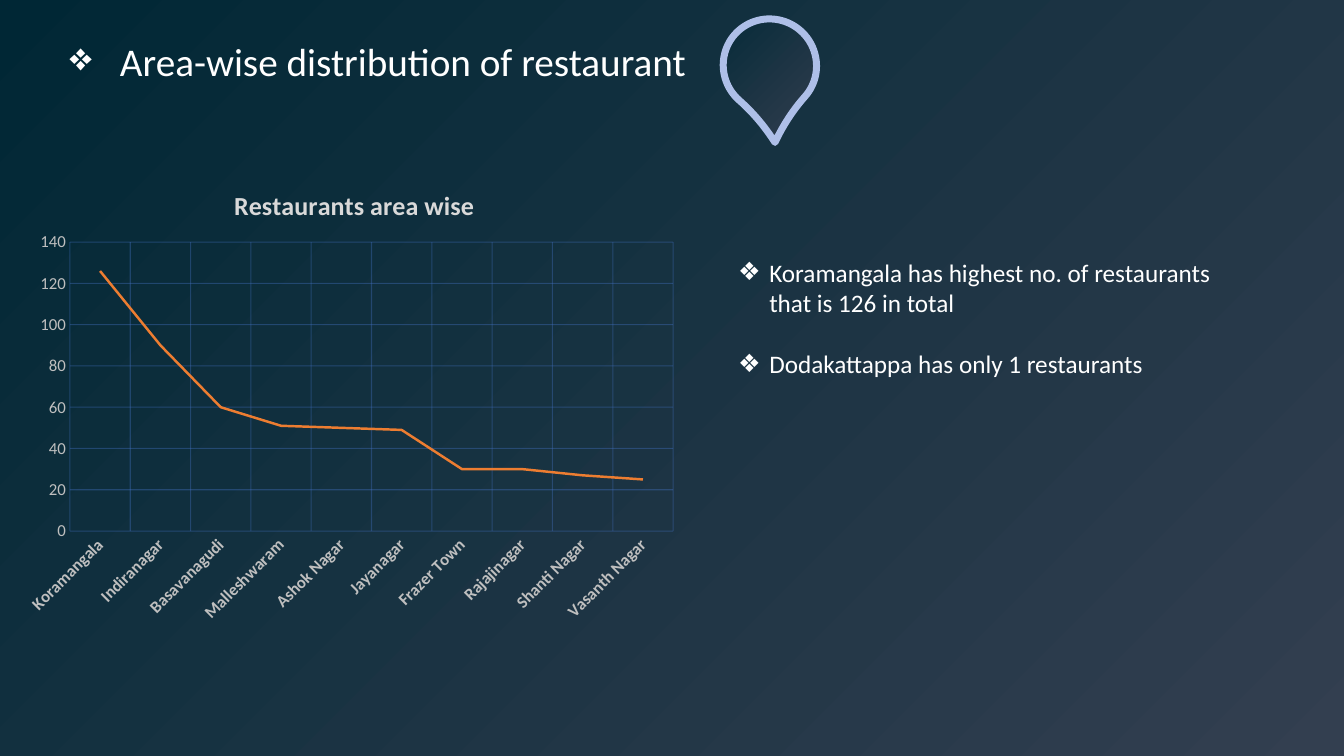
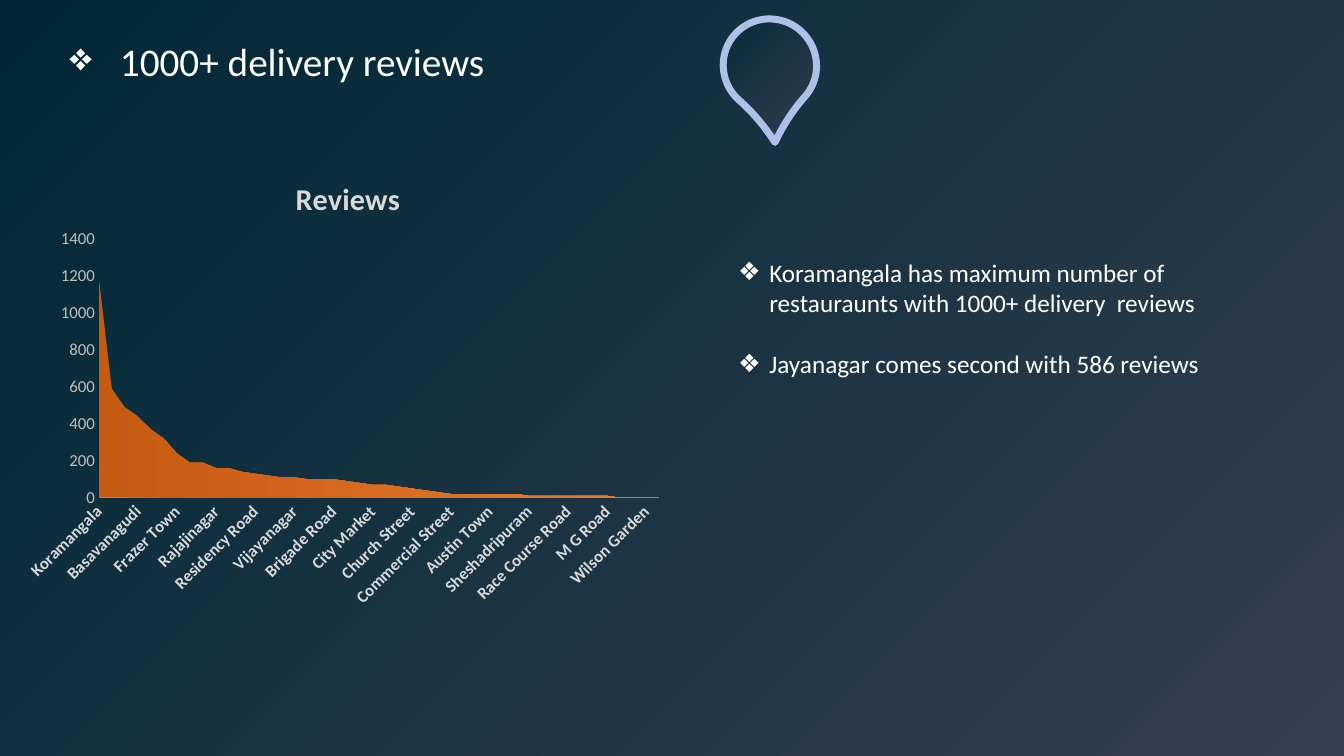
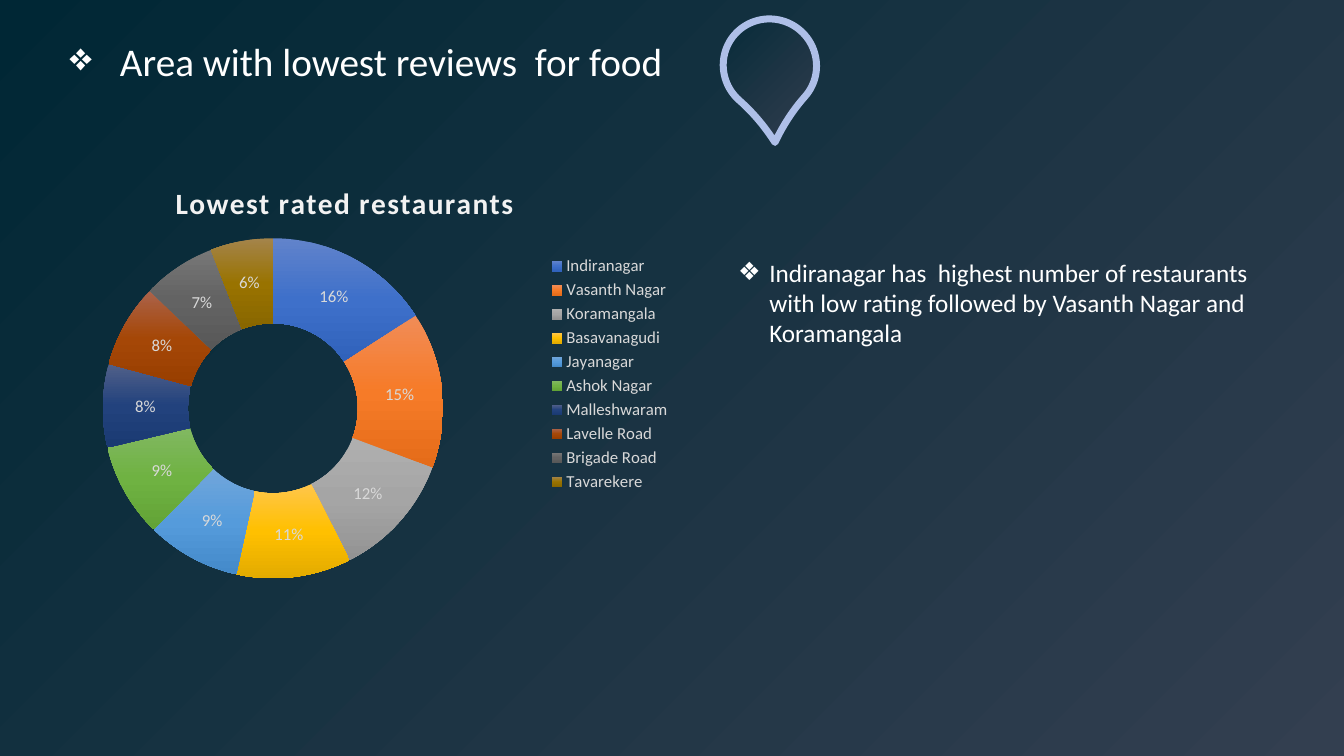
from dataclasses import dataclass

from lxml import etree
from pptx import Presentation
from pptx import util as u
from pptx.chart.data import CategoryChartData
from pptx.dml.color import RGBColor
from pptx.enum import chart as kinds, shapes, text
from pptx.oxml import parse_xml
from pptx.oxml.ns import nsdecls, qn


@dataclass(frozen=True)
class Theme:
    font: str = "Calibri"
    backdrop: tuple = ("002735", "333F50")
    white: str = "FFFFFF"
    pale: str = "D9D9D9"
    bright: str = "F2F2F2"
    muted: str = "BFBFBF"
    pin: str = "AEBFE8"
    grid: str = "4472C4"
    orange: str = "ED7D31"
    rust: str = "C55A11"
    title_size: float = 28
    body_size: float = 18
    label_size: float = 12


theme = Theme()


def paint_gradient(fill, owner, colours, angle=None):
    """Fill with evenly spaced stops: linear at an angle, or round from the top left."""
    fill.gradient()
    old = list(owner.iter(qn("a:gradFill")))[-1]
    stops = "".join(
        f'<a:gs pos="{100000 * i // (len(colours) - 1)}"><a:srgbClr val="{colour}"/></a:gs>'
        for i, colour in enumerate(colours))
    if angle is None:
        course = ('<a:path path="circle"><a:fillToRect l="0" t="0" r="100000" b="100000"/></a:path>'
                  '<a:tileRect l="-100000" t="-100000"/>')
    else:
        course = f'<a:lin ang="{angle * 60000}" scaled="0"/>'
    new = parse_xml(f'<a:gradFill {nsdecls("a")} rotWithShape="1">'
                    f'<a:gsLst>{stops}</a:gsLst>{course}</a:gradFill>')
    old.getparent().replace(old, new)


def lay_out(holder, **fractions):
    """Place a chart title (x, y) or the inner plot area (x, y, w, h)."""
    for old in holder.findall(qn("c:layout")):
        holder.remove(old)
    layout = etree.Element(qn("c:layout"))
    holder.insert(0 if holder.find(qn("c:tx")) is None else 1, layout)
    manual = etree.SubElement(layout, qn("c:manualLayout"))
    settings = {"xMode": "edge", "yMode": "edge", **fractions}
    if "w" in fractions:
        settings = {"layoutTarget": "inner", **settings}
    for name, value in settings.items():
        etree.SubElement(manual, qn(f"c:{name}")).set("val", str(value))


# Slide contents
pages = [
    dict(
        title="Area-wise distribution of restaurant",
        points=["Koramangala has highest no. of restaurants that is 126 in total",
                "Dodakattappa has only 1 restaurants"],
        body=(5, 1.92),
        kind=kinds.XL_CHART_TYPE.LINE,
        frame=(0.14, 1.58, 6.67, 4.7),
        heading=("Restaurants area wise", 18.6, theme.pale, 0.32),
        plot=dict(x=0.083, y=0.175, w=0.897, h=0.61),
        label_colour=theme.muted, top=140, step=20, crossing="between",
        categories=["Koramangala", "Indiranagar", "Basavanagudi", "Malleshwaram", "Ashok Nagar",
                    "Jayanagar", "Frazer Town", "Rajajinagar", "Shanti Nagar", "Vasanth Nagar"],
        values=[126, 90, 60, 51, 50, 49, 30, 30, 27, 25],
    ),
    dict(
        title="1000+ delivery reviews",
        points=["Koramangala has maximum number of restauraunts with 1000+ delivery  reviews",
                "Jayanagar comes second with 586 reviews"],
        body=(5.3, 2.22),
        kind=kinds.XL_CHART_TYPE.AREA,
        frame=(0.13, 1.47, 6.54, 4.65),
        heading=("Reviews", 21.6, theme.pale, 0.42),
        plot=dict(x=0.13, y=0.194, w=0.85, h=0.552),
        label_colour=theme.pale, top=1400, step=200, crossing="midCat",
        categories=["Koramangala", "Indiranagar", "Jayanagar", "Basavanagudi", "Malleshwaram",
                    "Ashok Nagar", "Frazer Town", "Shivaji Nagar", "Mg Road", "Rajajinagar",
                    "Shanti Nagar", "St Marks Road", "Residency Road", "Seshadripuram",
                    "Vasanth Nagar", "Vijayanagar", "Majestic", "Richmond Town", "Brigade Road",
                    "Ulsoor", "Tavarekere", "City Market", "Adugodi", "Central Bangalore",
                    "Church Street", "Pulikeshi Nagar", "Bannerghatta Main Road",
                    "Commercial Street", "Halasuru", "Banashankari", "Austin Town",
                    "Lavelle Road", "Domlur", "Sheshadripuram", "Cunningham Road", "Ejipura",
                    "Race Course Road", "K R Road", "Chamarajpet", "M G Road", "R T Nagar",
                    "Sadashiva Nagar", "Wilson Garden", "BTM Layout"],
        values=[1190, 590, 490, 440, 370, 320, 240, 190, 190, 160, 160, 140, 130, 120, 110,
                110, 100, 100, 100, 90, 80, 70, 70, 60, 50, 40, 30, 20, 20, 20, 20, 20, 20,
                10, 10, 10, 10, 10, 10, 10, 0, 0, 0, 0],
    ),
    dict(
        title="Area with lowest reviews  for food",
        points=["Indiranagar has  highest number of restaurants with low rating "
                "followed by Vasanth Nagar and Koramangala"],
        body=(5.4, 1.01),
        kind=kinds.XL_CHART_TYPE.DOUGHNUT,
        frame=(0, 1.54, 6.76, 4.34),
        heading=("Lowest rated restaurants", 21, theme.bright, 0.25),
        plot=dict(x=0.151, y=0.189, w=0.499, h=0.779),
        categories=["Indiranagar", "Vasanth Nagar", "Koramangala", "Basavanagudi", "Jayanagar",
                    "Ashok Nagar", "Malleshwaram", "Lavelle Road", "Brigade Road", "Tavarekere"],
        values=[16, 15, 12, 11, 9, 9, 8, 8, 7, 6],
    ),
]
slice_colours = [
    ("6183CB", "3E70CA", "3062BB"), ("F18C57", "F67B28", "E56C19"),
    ("AFAFAF", "A5A5A5", "939393"), ("FFC64B", "FFC000", "E3AB00"),
    ("71A6DB", "559BDB", "448ACA"), ("81B861", "6FB242", "62A336"),
    ("516089", "22427D", "1A3A72"), ("AB634B", "A54707", "983E00"),
    ("777777", "636363", "585858"), ("A4844B", "997300", "886600"),
]

# Deck and shared background
deck = Presentation()
deck.slide_width, deck.slide_height = u.Inches(13.33), u.Inches(7.5)
master = deck.slide_master
paint_gradient(master.background.fill, master.element, theme.backdrop)

for content in pages:
    page = deck.slides.add_slide(deck.slide_layouts[1])

    # Title and bullet list
    title, body = page.shapes.title, page.placeholders[1]
    title.text_frame.text = content["title"]
    body.text_frame.text = "\n".join(content["points"])
    for box, place, size, indent in (
            (title, (0.59, 0.32, 7.12, 0.57), theme.title_size, 0.5),
            (body, (7.22, 2.5, *content["body"]), theme.body_size, 0.31)):
        box.left, box.top, box.width, box.height = map(u.Inches, place)
        frame = box.text_frame
        frame.word_wrap = True
        frame.auto_size = text.MSO_AUTO_SIZE.NONE
        frame.vertical_anchor = text.MSO_ANCHOR.TOP
        for number, para in enumerate(frame.paragraphs):
            para.alignment = text.PP_ALIGN.LEFT
            para.space_before = u.Pt(22 if number else 0)
            properties = para._p.get_or_add_pPr()
            properties.set("marL", str(u.Inches(indent)))
            properties.set("indent", str(-u.Inches(indent)))
            etree.SubElement(properties, qn("a:buChar")).set("char", "❖")
            for span in para.runs:
                span.font.name, span.font.size = theme.font, u.Pt(size)
                span.font.color.rgb = RGBColor.from_string(theme.white)

    # Map pin
    pin = page.shapes.add_shape(shapes.MSO_SHAPE.TEAR,
                                *map(u.Inches, (7.17, 0.19, 0.93, 0.92)))
    pin.adjustments[0] = 1.17
    pin.rotation = 221.5
    pin.element.spPr.find(qn("a:xfrm")).set("flipH", "1")
    pin.shadow.inherit = False
    paint_gradient(pin.fill, pin.element, theme.backdrop)
    pin.line.color.rgb = RGBColor.from_string(theme.pin)
    pin.line.width = u.Pt(5)

    # Chart and its heading
    data = CategoryChartData()
    data.categories = content["categories"]
    data.add_series("Series 1", content["values"])
    chart = page.shapes.add_chart(content["kind"], *map(u.Inches, content["frame"]), data).chart
    chart.font.name, chart.font.size = theme.font, u.Pt(10)
    heading, size, colour, left = content["heading"]
    chart.has_title = True
    chart.chart_title.text_frame.text = heading
    span = chart.chart_title.text_frame.paragraphs[0].runs[0]
    span.font.name, span.font.size, span.font.bold = theme.font, u.Pt(size), True
    span.font.color.rgb = RGBColor.from_string(colour)
    lay_out(chart.chart_title._element, x=left, y=0.05)
    plot = chart.plots[0]
    series = plot.series[0]
    lay_out(chart._chartSpace.chart.plotArea, **content["plot"])
    ring = content["kind"] == kinds.XL_CHART_TYPE.DOUGHNUT
    line = content["kind"] == kinds.XL_CHART_TYPE.LINE
    plot.vary_by_categories = ring
    chart.has_legend = ring

    # Ring: slices, percentages and legend
    if ring:
        for number, colours in enumerate(slice_colours):
            piece = series.points[number].format
            paint_gradient(piece.fill, series._element, colours, 90)
            piece.line.fill.background()
        plot.has_data_labels = True
        labels, legend = plot.data_labels, chart.legend
        labels.show_percentage, labels.show_value = True, False
        labels.number_format, labels.number_format_is_linked = "0%", False
        legend.position = kinds.XL_LEGEND_POSITION.RIGHT
        legend.include_in_layout = False
        for part in (labels, legend):
            part.font.name, part.font.size = theme.font, u.Pt(theme.label_size)
            part.font.color.rgb = RGBColor.from_string(theme.pale)
        span._r.get_or_add_rPr().set("spc", "100")
        continue

    # Axes of the line and area charts
    across, up = chart.category_axis, chart.value_axis
    up.minimum_scale, up.maximum_scale, up.major_unit = 0, content["top"], content["step"]
    for old in up._element.findall(qn("c:crossBetween")):
        up._element.remove(old)
    crossing = etree.Element(qn("c:crossBetween"))
    crossing.set("val", content["crossing"])
    up._element.find(qn("c:crosses")).addnext(crossing)
    for axis, colour, alpha in ((across, content["label_colour"], 36), (up, theme.muted, 38)):
        axis.major_tick_mark = axis.minor_tick_mark = kinds.XL_TICK_MARK.NONE
        axis.format.line.fill.background()
        font = axis.tick_labels.font
        font.name, font.size, font.bold = theme.font, u.Pt(theme.label_size), axis is across
        font.color.rgb = RGBColor.from_string(colour)
        axis.has_major_gridlines = line
        if line:
            grid = axis.major_gridlines
            grid.format.line.color.rgb = RGBColor.from_string(theme.grid)
            grid.format.line.width = u.Pt(0.75)
            shade = next(axis._element.find(qn("c:majorGridlines")).iter(qn("a:srgbClr")))
            etree.SubElement(shade, qn("a:alpha")).set("val", str(alpha * 1000))
    across._element.find(qn("c:txPr")).find(qn("a:bodyPr")).set("rot", str(-45 * 60000))

    # Series
    if line:
        series.smooth = False
        series.format.line.color.rgb = RGBColor.from_string(theme.orange)
        series.format.line.width = u.Pt(1.75)
    else:
        paint_gradient(series.format.fill, series._element, (theme.rust, theme.orange), 0)
        across.format.line.color.rgb = RGBColor.from_string(theme.muted)
        across.format.line.width = u.Pt(0.75)

deck.save("out.pptx")
